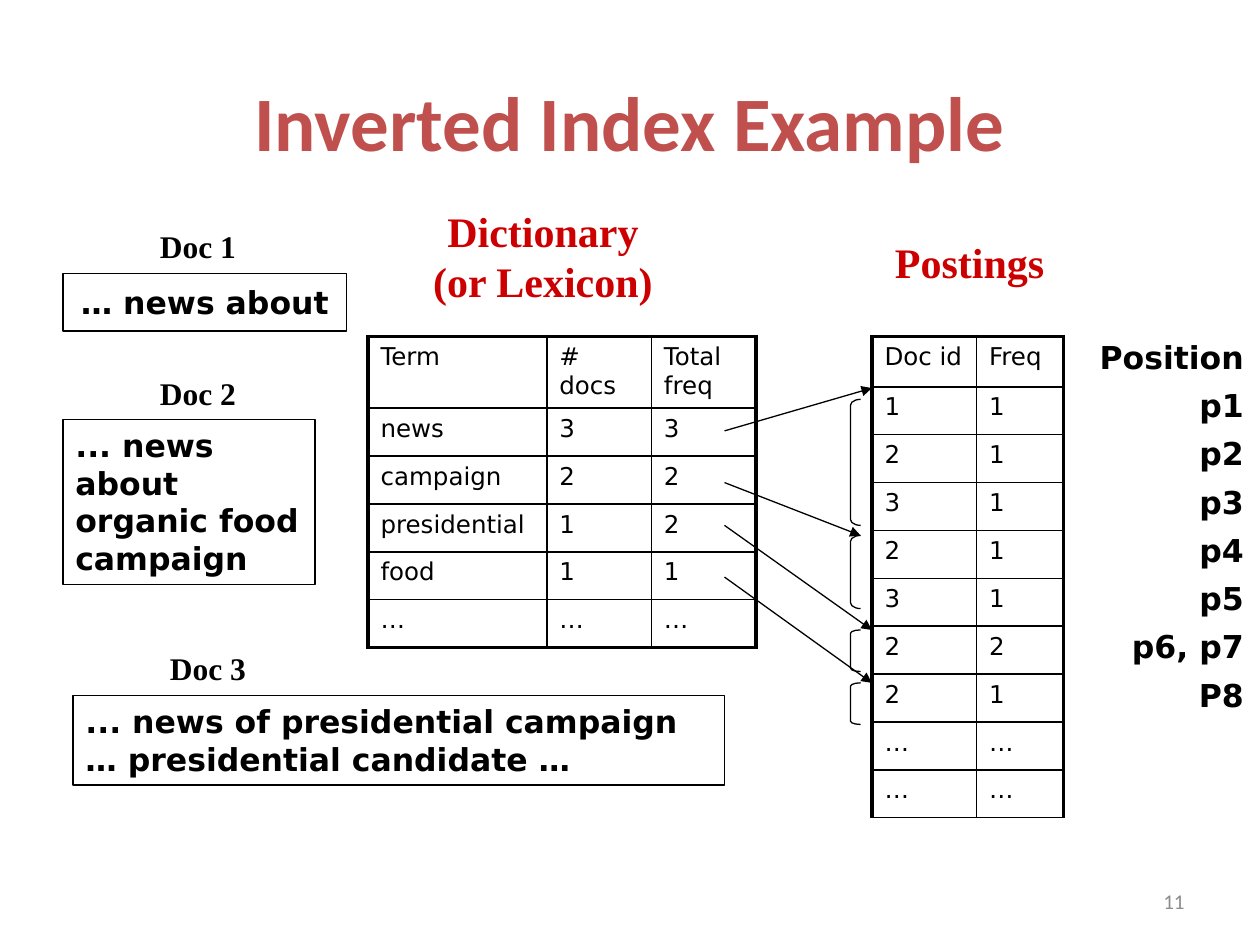
"""Build the inverted index example slide."""
import dataclasses
import typing

import lxml.etree
import pptx
import pptx.dml.color
import pptx.enum.shapes
import pptx.enum.text
import pptx.oxml.ns
import pptx.util

Inches = pptx.util.Inches
Pt = pptx.util.Pt
qn = pptx.oxml.ns.qn
Align = pptx.enum.text.PP_ALIGN
Anchor = pptx.enum.text.MSO_ANCHOR
Shape = pptx.enum.shapes.MSO_SHAPE

HUES = {"ink": "000000", "title": "C0504D", "head": "CC0000", "page": "8C8C8C"}
SANS, SERIF, PLAIN = "DejaVu Sans", "Times New Roman", "Calibri"


@dataclasses.dataclass(frozen=True)
class Note:
    text: str
    left: float
    top: float
    wide: float
    high: float
    size: float = 18
    font: str = SANS
    hue: str = "ink"
    bold: bool = True
    align: typing.Any = Align.LEFT
    anchor: typing.Any = Anchor.TOP
    wrap: bool = False
    framed: bool = False
    after: float = 0


@dataclasses.dataclass(frozen=True)
class Grid:
    left: float
    top: float
    cols: tuple[float, ...]
    head: float
    foot: float
    rows: tuple[tuple[str, ...], ...]


@dataclasses.dataclass(frozen=True)
class Link:
    start: tuple[float, float]
    end: tuple[float, float]


@dataclasses.dataclass(frozen=True)
class Brace:
    top: float
    high: float
    curve: float


NOTES = (
    Note("Inverted Index Example", 0.75, 0.33, 8.5, 1.25, 44, PLAIN, "title",
         align=Align.CENTER, anchor=Anchor.MIDDLE, wrap=True),
    Note("11", 7.17, 6.95, 2.33, 0.4, 12, PLAIN, "page", False,
         Align.RIGHT, Anchor.MIDDLE, True),
    Note("… news about", 0.5, 2.17, 2.25, 0.46, align=Align.CENTER,
         anchor=Anchor.MIDDLE, framed=True),
    Note("Doc 1", 1.17, 1.75, 0.81, 0.4, font=SERIF),
    Note("Doc 2", 1.17, 2.92, 0.81, 0.4, font=SERIF),
    Note("Dictionary\n(or Lexicon)", 3.33, 1.58, 1.96, 0.91, 24, SERIF, "head",
         align=Align.CENTER),
    Note("Postings", 7, 1.83, 1.39, 0.5, 24, SERIF, "head", align=Align.CENTER),
    Note("... news about organic food campaign", 0.5, 3.33, 2, 1.31,
         wrap=True, framed=True),
    Note("Doc 3", 1.25, 5.1, 0.81, 0.4, font=SERIF),
    Note("... news of presidential campaign … presidential candidate …",
         0.58, 5.52, 5.17, 0.71, wrap=True, framed=True),
    Note("Position\np1\np2\np3\np4\np5\np6, p7\nP8", 8.58, 2.63, 1.39, 4.11,
         align=Align.RIGHT, after=6),
)

LINKS = (
    Link((5.75, 3.42), (6.92, 3.08)),
    Link((5.75, 3.83), (6.83, 4.25)),
    Link((5.75, 4.17), (6.92, 5)),
    Link((5.75, 4.58), (6.92, 5.42)),
)

GRIDS = (
    Grid(2.92, 2.67, (1.42, 0.83, 0.83), 0.57, 2.25, (
        ("Term", "# docs", "Total freq"),
        ("news", "3", "3"),
        ("campaign", "2", "2"),
        ("presidential", "1", "2"),
        ("food", "1", "1"),
        ("…", "…", "…"),
    )),
    Grid(6.92, 2.67, (0.83, 0.69), 0.4, 1, (
        ("Doc id", "Freq"),
        ("1", "1"),
        ("2", "1"),
        ("3", "1"),
        ("2", "1"),
        ("3", "1"),
        ("2", "2"),
        ("2", "1"),
        ("…", "…"),
        ("…", "…"),
    )),
)

BRACES = (
    Brace(3.17, 1, 0.58),
    Brace(4.25, 0.58, 0.58),
    Brace(5, 0.33, 0.33),
    Brace(5.42, 0.33, 0.33),
)


def tint(hue: str) -> pptx.dml.color.RGBColor:
    """Return a named colour."""
    return pptx.dml.color.RGBColor.from_string(HUES[hue])


def style(frame: typing.Any, size: float, font: str, hue: str, bold: bool) -> None:
    """Format every run in a text frame."""
    for para in frame.paragraphs:
        for run in para.runs:
            run.font.size = Pt(size)
            run.font.name = font
            run.font.bold = bold
            run.font.color.rgb = tint(hue)


def trace(item: typing.Any, width: float) -> None:
    """Give a shape or connector a black line."""
    item.line.color.rgb = tint("ink")
    item.line.width = Pt(width)


def draw_note(slide: typing.Any, note: Note) -> None:
    """Draw a text box, framed if asked."""
    place = [Inches(n) for n in (note.left, note.top, note.wide, note.high)]
    if note.framed:
        box = slide.shapes.add_shape(Shape.RECTANGLE, *place)
        box.shadow.inherit = False
        box.fill.background()
        trace(box, 1)
    else:
        box = slide.shapes.add_textbox(*place)
    frame = box.text_frame
    frame.text = note.text
    frame.word_wrap = note.wrap
    frame.vertical_anchor = note.anchor
    for para in frame.paragraphs:
        para.alignment = note.align
        para.space_after = Pt(note.after)
    style(frame, note.size, note.font, note.hue, note.bold)


def draw_link(slide: typing.Any, link: Link) -> None:
    """Draw an arrow."""
    ends = [Inches(n) for n in link.start + link.end]
    line = slide.shapes.add_connector(pptx.enum.shapes.MSO_CONNECTOR.STRAIGHT, *ends)
    trace(line, 0.75)
    lxml.etree.SubElement(line.line._get_or_add_ln(), qn("a:tailEnd"), type="triangle")
    lxml.etree.SubElement(line._element.spPr, qn("a:effectLst"))


def edge(cell: typing.Any, side: str, width: float) -> None:
    """Add one border to a cell."""
    props = cell._tc.get_or_add_tcPr()
    line = lxml.etree.SubElement(props, qn(f"a:ln{side}"), w=str(Pt(width)))
    fill = lxml.etree.SubElement(line, qn("a:solidFill"))
    lxml.etree.SubElement(fill, qn("a:srgbClr"), val=HUES["ink"])


def draw_grid(slide: typing.Any, grid: Grid) -> None:
    """Draw a ruled table with a thick outer border."""
    highs = [grid.head] + [0.38] * (len(grid.rows) - 1)
    table = slide.shapes.add_table(
        len(highs), len(grid.cols), Inches(grid.left), Inches(grid.top),
        Inches(sum(grid.cols)), Inches(sum(highs))).table
    table.first_row = table.horz_banding = False
    for col, wide in zip(table.columns, grid.cols):
        col.width = Inches(wide)
    for r, (high, texts) in enumerate(zip(highs, grid.rows)):
        table.rows[r].height = Inches(high)
        for c, text in enumerate(texts):
            cell = table.cell(r, c)
            cell.text_frame.text = text
            style(cell.text_frame, 14, SANS, "ink", False)
            edge(cell, "L", 2.25 if c == 0 else 1)
            edge(cell, "R", 2.25 if c == len(texts) - 1 else 1)
            edge(cell, "T", 2.25 if r == 0 else 1)
            edge(cell, "B", grid.foot if r == len(highs) - 1 else 1)
            cell.fill.background()


def draw_brace(slide: typing.Any, brace: Brace) -> None:
    """Draw a left bracket beside the postings."""
    item = slide.shapes.add_shape(Shape.LEFT_BRACKET, Inches(6.75), Inches(brace.top),
                                  Inches(0.08), Inches(brace.high))
    item.adjustments[0] = brace.curve
    item.shadow.inherit = False
    item.fill.background()
    trace(item, 0.75)


def main() -> None:
    """Draw the slide and save it."""
    deck = pptx.Presentation()
    deck.slide_width, deck.slide_height = Inches(10), Inches(7.5)
    slide = deck.slides.add_slide(deck.slide_layouts[6])
    for draw, items in ((draw_note, NOTES), (draw_link, LINKS),
                        (draw_grid, GRIDS), (draw_brace, BRACES)):
        for item in items:
            draw(slide, item)
    deck.save("out.pptx")


if __name__ == "__main__":
    main()
